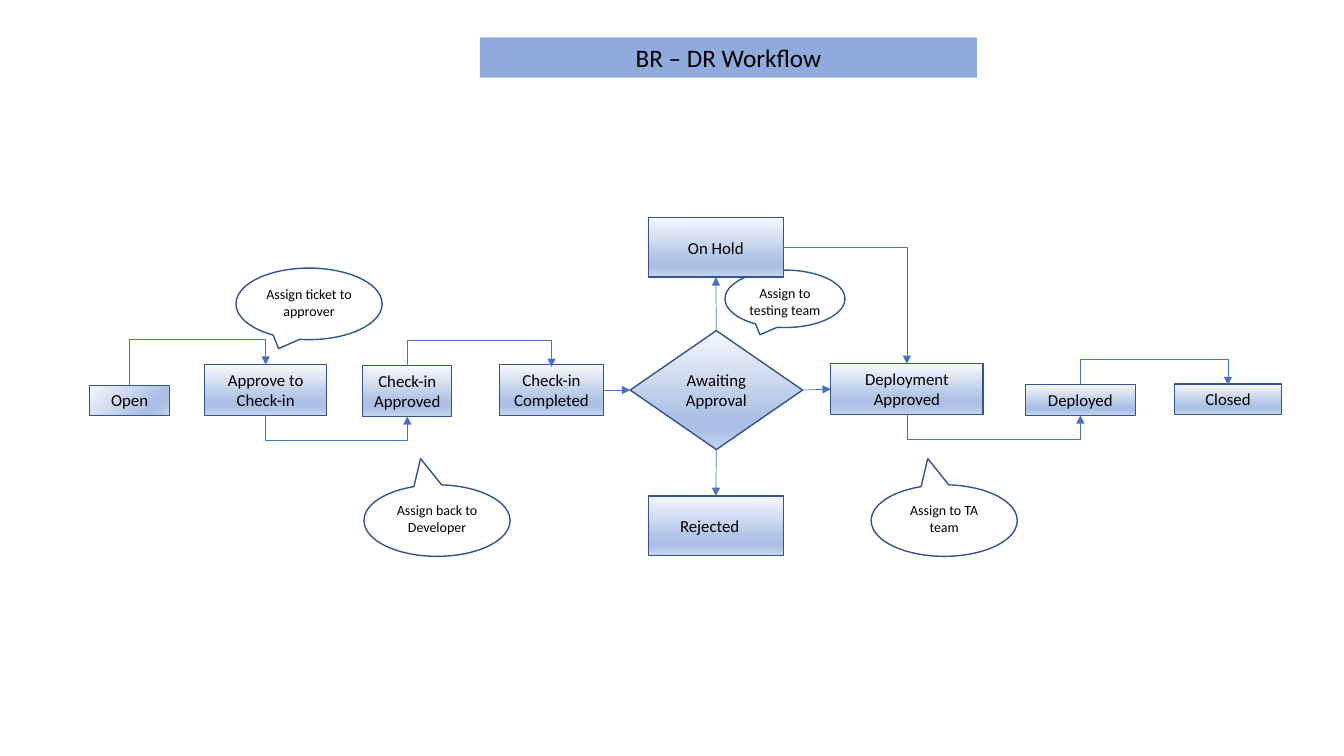
import collections

import pptx
import pptx.dml.color
import pptx.enum.shapes
import pptx.enum.text
import pptx.oxml
import pptx.oxml.ns
import pptx.util
from pptx.util import Inches

COLOURS = {"title": "8FAADC", "outline": "325491", "arrow": "4472C4", "text": "000000"}
GRADIENT = [(0, "F6F8FC"), (74, "ABC0E4"), (83, "ABC0E4"), (100, "C7D5ED")]
FONT = "Calibri"
SHAPES = pptx.enum.shapes.MSO_SHAPE
ANCHORS = pptx.enum.text.MSO_ANCHOR

Box = collections.namedtuple("Box", "left top width height")

# Steps: left, top, width, height within the workflow region
STEPS = {
    "Open": (0, 1.66, 0.79, 0.3),
    "Approve to Check-in": (1.14, 1.46, 1.21, 0.5),
    "Check-in Approved": (2.71, 1.47, 0.88, 0.5),
    "Check-in Completed": (4.06, 1.46, 1.04, 0.5),
    "Deployment Approved": (7.35, 1.45, 1.51, 0.5),
    "Deployed": (9.28, 1.65, 1.09, 0.31),
    "Closed": (10.76, 1.65, 1.06, 0.3),
    "Awaiting Approval": (5.36, 1.12, 1.71, 1.18),
    "Rejected": (5.54, 2.76, 1.34, 0.59),
    "On Hold": (5.54, 0, 1.34, 0.59),
}
DECISION = ("Awaiting Approval", "Rejected", "On Hold")

# Callouts: text, place within the region, tip of the pointer
TIP_DOWN, TIP_UP = (-0.208, 0.625), (-0.113, -0.868)
CALLOUTS = [
    ("Assign to testing team", (6.3, 0.52, 1.19, 0.57), TIP_DOWN),
    ("Assign ticket to approver", (1.45, 0.5, 1.45, 0.71), TIP_DOWN),
    ("Assign back to Developer", (2.72, 2.65, 1.45, 0.71), TIP_UP),
    ("Assign to TA team", (7.75, 2.65, 1.45, 0.71), TIP_UP),
]

# Loops: from, to, side of the steps, distance of the bar from the first step
LOOPS = [
    ("Open", "Approve to Check-in", "top", 0.45),
    ("Approve to Check-in", "Check-in Approved", "bottom", 0.25),
    ("Check-in Approved", "Check-in Completed", "top", 0.26),
    ("Deployment Approved", "Deployed", "bottom", 0.25),
    ("Deployed", "Closed", "top", 0.25),
]


def colour(name):
    return pptx.dml.color.RGBColor.from_string(COLOURS[name])


def inches(box):
    return [Inches(length) for length in box]


def within(region, place):
    left, top, width, height = place
    return Box(region.left + left, region.top + top, width, height)


def side(box, name):
    """Return the middle point of one side of a box."""
    across, down = {"left": (0, 0.5), "right": (1, 0.5),
                    "top": (0.5, 0), "bottom": (0.5, 1)}[name]
    return box.left + across * box.width, box.top + down * box.height


def write(shape, text, size, anchor):
    frame = shape.text_frame
    frame.word_wrap = True
    frame.auto_size = pptx.enum.text.MSO_AUTO_SIZE.NONE
    frame.vertical_anchor = anchor
    frame.margin_left = frame.margin_right = Inches(0.1)
    frame.margin_top = frame.margin_bottom = Inches(0.05)
    para = frame.paragraphs[0]
    para.alignment = pptx.enum.text.PP_ALIGN.CENTER
    span = para.add_run()
    span.text = text
    span.font.name = FONT
    span.font.size = pptx.util.Pt(size)
    span.font.color.rgb = colour("text")


def outlined(page, kind, box, weight):
    shape = page.shapes.add_shape(kind, *inches(box))
    shape.shadow.inherit = False
    shape.line.color.rgb = colour("outline")
    shape.line.width = pptx.util.Pt(weight)
    return shape


def shade(shape, angle):
    shape.fill.gradient()
    shape.fill.gradient_angle = 360 - angle
    stops = shape.element.spPr.find(".//" + pptx.oxml.ns.qn("a:gsLst"))
    for stop in list(stops):
        stops.remove(stop)
    for position, value in GRADIENT:
        stops.append(pptx.oxml.parse_xml(
            f'<a:gs {pptx.oxml.ns.nsdecls("a")} pos="{position * 1000}">'
            f'<a:srgbClr val="{value}"/></a:gs>'))


def add_arrow(page, start, end, kind=pptx.enum.shapes.MSO_CONNECTOR.STRAIGHT):
    arrow = page.shapes.add_connector(kind, *inches(start + end))
    arrow.line.color.rgb = colour("arrow")
    arrow.line.width = pptx.util.Pt(0.5)
    namespace = pptx.oxml.ns.nsdecls("a")
    arrow.line._get_or_add_ln().append(
        pptx.oxml.parse_xml(f'<a:tailEnd {namespace} type="triangle"/>'))
    arrow.element.spPr.append(pptx.oxml.parse_xml(f"<a:effectLst {namespace}/>"))
    return arrow


def add_elbow(page, start, end, preset):
    arrow = add_arrow(page, start, end, pptx.enum.shapes.MSO_CONNECTOR.ELBOW)
    geometry = arrow.element.spPr.find(pptx.oxml.ns.qn("a:prstGeom"))
    geometry.set("prst", preset)
    return arrow, geometry.find(pptx.oxml.ns.qn("a:avLst"))


def add_loop(page, start, end, bar):
    """Leave vertically, run along the bar, and arrive vertically."""
    rise = end[1] - start[1]
    if abs(rise) < 0.01:
        rise = 0.01
    length, span = abs(rise), end[0] - start[0]
    arrow, guides = add_elbow(page, start, end, "bentConnector3")
    arrow.width, arrow.height = Inches(length), Inches(span)
    arrow.left = Inches(start[0] + (span - length) / 2)
    arrow.top = Inches(start[1] + (rise - span) / 2)
    # A quarter turn with a vertical flip makes the first leg vertical
    frame = arrow.element.spPr.find(pptx.oxml.ns.qn("a:xfrm"))
    frame.set("rot", str(90 * 60000))
    frame.set("flipV", "1")
    frame.set("flipH", "1" if rise < 0 else "0")
    share = round((bar - start[1]) / rise * 100000)
    guides.append(pptx.oxml.parse_xml(
        f'<a:gd {pptx.oxml.ns.nsdecls("a")} name="adj1" fmla="val {share}"/>'))


def add_title(page, box):
    title = page.shapes.title
    title.left, title.top, title.width, title.height = inches(box)
    title.fill.solid()
    title.fill.fore_color.rgb = colour("title")
    write(title, "BR – DR Workflow", 18, ANCHORS.MIDDLE)


def add_callouts(page, region):
    for text, place, tip in CALLOUTS:
        box = within(region, place)
        bubble = outlined(page, SHAPES.OVAL_CALLOUT, box, 1)
        bubble.fill.background()
        bubble.adjustments[0], bubble.adjustments[1] = tip
        label = Box(box.left + 0.1 * box.width, box.top + 0.17 * box.height,
                    0.8 * box.width, 0.62 * box.height)
        write(page.shapes.add_textbox(*inches(label)), text, 10, ANCHORS.TOP)


def add_workflow(page, region):
    boxes = {name: within(region, place) for name, place in STEPS.items()}

    # Steps
    for name, box in boxes.items():
        kind = SHAPES.DIAMOND if name == "Awaiting Approval" else SHAPES.RECTANGLE
        step = outlined(page, kind, box, 1 if name in DECISION else 0.75)
        shade(step, 45 if name == "Open" else 90)
        write(step, name, 12, ANCHORS.MIDDLE)
        if name == "Rejected":
            step.text_frame.margin_right = Inches(0.22)

    # Loops between neighbouring steps
    for first, second, edge, distance in LOOPS:
        start, end = side(boxes[first], edge), side(boxes[second], edge)
        bar = start[1] + (distance if edge == "bottom" else -distance)
        add_loop(page, start, end, bar)

    # Straight arrows around the decision
    decision = boxes["Awaiting Approval"]
    add_arrow(page, side(boxes["Check-in Completed"], "right"), side(decision, "left"))
    for edge, target, entry in [("right", "Deployment Approved", "left"),
                                ("bottom", "Rejected", "top"),
                                ("top", "On Hold", "bottom")]:
        add_arrow(page, side(decision, edge), side(boxes[target], entry))

    # From hold to deployment
    add_elbow(page, side(boxes["On Hold"], "right"),
              side(boxes["Deployment Approved"], "top"), "bentConnector2")


def main():
    deck = pptx.Presentation()
    deck.slide_width, deck.slide_height = Inches(13.33), Inches(7.5)
    page = deck.slides.add_slide(deck.slide_layouts[5])
    region = Box(0.89, 2.16, 11.82, 3.36)
    add_title(page, Box(4.76, 0.37, 4.93, 0.4))
    add_callouts(page, region)
    add_workflow(page, region)
    deck.save("out.pptx")


if __name__ == "__main__":
    main()
